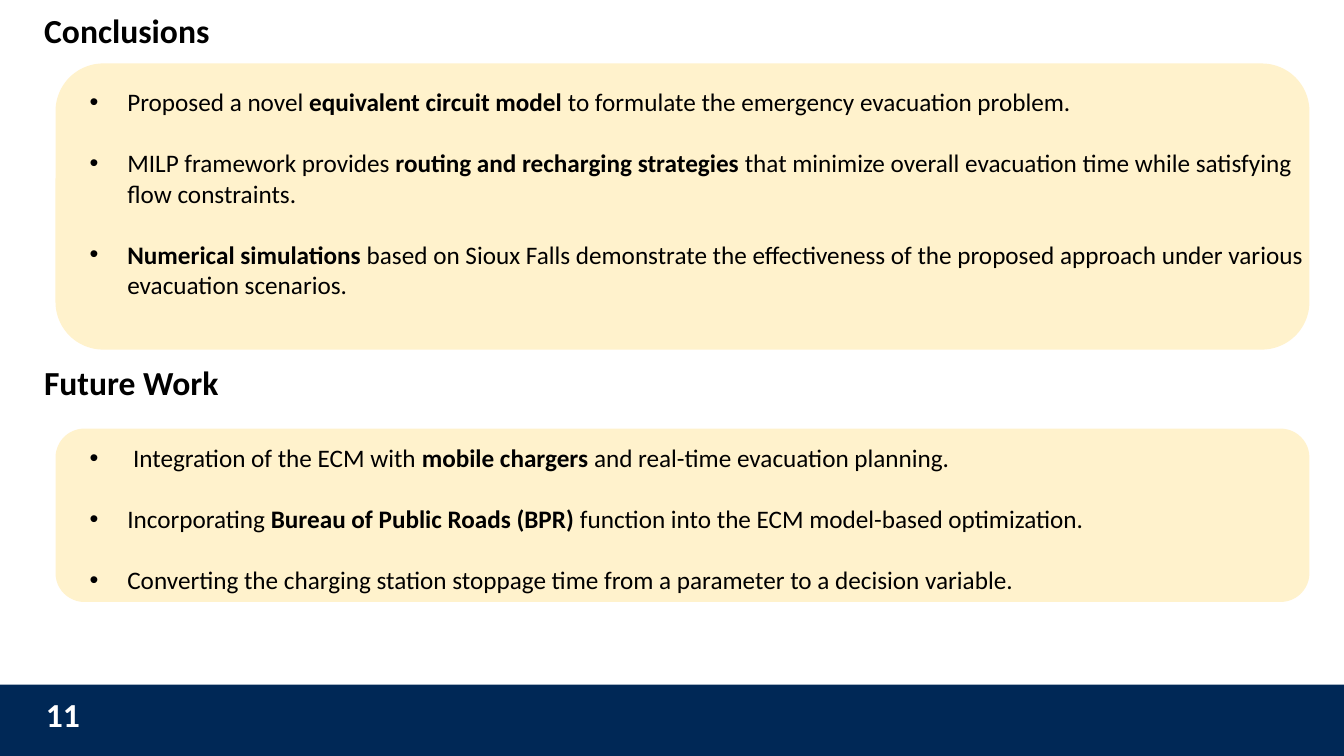
from dataclasses import dataclass

from lxml.etree import SubElement
from pptx import Presentation
from pptx.dml.color import RGBColor
from pptx.enum.shapes import MSO_SHAPE
from pptx.enum.text import MSO_ANCHOR, MSO_AUTO_SIZE, PP_ALIGN
from pptx.oxml.ns import qn
from pptx.util import Cm, Pt

# Content: each bullet is a list of (text, bold) runs
CONCLUSIONS = [
    [("Proposed a novel ", False), ("equivalent circuit model", True),
     (" to formulate the emergency evacuation problem.", False)],
    [("MILP framework provides ", False), ("routing and recharging strategies", True),
     (" that minimize overall evacuation time while satisfying flow constraints.", False)],
    [("Numerical simulations", True),
     (" based on Sioux Falls demonstrate the effectiveness of the proposed approach"
      " under various evacuation scenarios.", False)],
]
FUTURE_WORK = [
    [(" Integration of the ECM with ", False), ("mobile chargers ", True),
     ("and real-time evacuation planning.", False)],
    [("Incorporating ", False), ("Bureau of Public Roads (BPR) ", True),
     ("function into the ECM model-based optimization.", False)],
    [("Converting the charging station stoppage time from a parameter"
      " to a decision variable.", False)],
]
# Vertical places in cm: heading top, panel (top, height), bullets (top, height)
SECTIONS = [
    {"heading": "Conclusions", "bullets": CONCLUSIONS,
     "heading_top": 0.05, "panel": (1.6, 7.21), "text": (2.06, 5.64)},
    {"heading": "Future Work", "bullets": FUTURE_WORK,
     "heading_top": 8.94, "panel": (10.8, 4.37), "text": (11.02, 4.88)},
]
PAGE_NUMBER = "11"


@dataclass(frozen=True)
class Theme:
    font: str = "Calibri"
    heading_size: float = 24
    body_size: float = 18
    bullet_gap: float = 22
    text: RGBColor = RGBColor(0, 0, 0)
    light: RGBColor = RGBColor(255, 255, 255)
    panel: RGBColor = RGBColor(0xFF, 0xF2, 0xCC)
    footer: RGBColor = RGBColor(0x00, 0x28, 0x56)


THEME = Theme()
SLIDE_WIDTH, SLIDE_HEIGHT = Cm(33.87), Cm(19.05)
FOOTER_HEIGHT = Cm(1.8)
HEADING_LEFT, HEADING_WIDTH, HEADING_HEIGHT = Cm(0.86), Cm(29.21), Cm(1.52)
PANEL_LEFT, PANEL_WIDTH = Cm(1.4), Cm(31.6)
TEXT_LEFT, TEXT_WIDTH = Cm(2.01), Cm(31.12)
BULLET_INDENT = Cm(0.95)


def apply(target, **values):
    for name, value in values.items():
        setattr(target, name, value)


def add_run(paragraph, text, size, color, bold):
    run = paragraph.add_run()
    run.text = text
    apply(run.font, name=THEME.font, size=Pt(size), bold=bold)
    run.font.color.rgb = color


def add_block(slide, kind, box, color):
    shape = slide.shapes.add_shape(kind, *box)
    shape.shadow.inherit = False
    shape.fill.solid()
    shape.fill.fore_color.rgb = color
    shape.line.fill.background()


def fill_heading(shape, text):
    apply(shape, left=HEADING_LEFT, width=HEADING_WIDTH, height=HEADING_HEIGHT)
    apply(shape.text_frame, word_wrap=True, auto_size=MSO_AUTO_SIZE.NONE,
          vertical_anchor=MSO_ANCHOR.MIDDLE)
    paragraph = shape.text_frame.paragraphs[0]
    apply(paragraph, alignment=PP_ALIGN.LEFT, line_spacing=0.9)
    add_run(paragraph, text, THEME.heading_size, THEME.text, True)


def add_bullets(slide, top, height, bullets):
    frame = slide.shapes.add_textbox(TEXT_LEFT, top, TEXT_WIDTH, height).text_frame
    frame.word_wrap = True
    for index, runs in enumerate(bullets):
        paragraph = frame.add_paragraph() if index else frame.paragraphs[0]
        if index:
            paragraph.space_before = Pt(THEME.bullet_gap)
        properties = paragraph._p.get_or_add_pPr()
        properties.set("marL", str(BULLET_INDENT))
        properties.set("indent", str(-BULLET_INDENT))
        SubElement(properties, qn("a:buFont"), typeface="Arial")
        SubElement(properties, qn("a:buChar"), char="•")
        for text, bold in runs:
            add_run(paragraph, text, THEME.body_size, THEME.text, bold)


def main():
    presentation = Presentation()
    apply(presentation, slide_width=SLIDE_WIDTH, slide_height=SLIDE_HEIGHT)
    slide = presentation.slides.add_slide(presentation.slide_layouts[5])

    # Footer band
    add_block(slide, MSO_SHAPE.RECTANGLE,
              (0, SLIDE_HEIGHT - FOOTER_HEIGHT, SLIDE_WIDTH, FOOTER_HEIGHT), THEME.footer)

    # Headings, panels and bullets
    for index, section in enumerate(SECTIONS):
        top = Cm(section["heading_top"])
        heading = slide.shapes.title if index == 0 else slide.shapes.add_textbox(
            HEADING_LEFT, top, HEADING_WIDTH, HEADING_HEIGHT)
        heading.top = top
        fill_heading(heading, section["heading"])
        panel_top, panel_height = map(Cm, section["panel"])
        add_block(slide, MSO_SHAPE.ROUNDED_RECTANGLE,
                  (PANEL_LEFT, panel_top, PANEL_WIDTH, panel_height), THEME.panel)
        add_bullets(slide, *map(Cm, section["text"]), section["bullets"])

    # Page number
    number = slide.shapes.add_textbox(Cm(0.91), Cm(17.37), Cm(1.42), Cm(1.27))
    add_run(number.text_frame.paragraphs[0], PAGE_NUMBER, THEME.heading_size, THEME.light, True)

    presentation.save("out.pptx")


if __name__ == "__main__":
    main()
